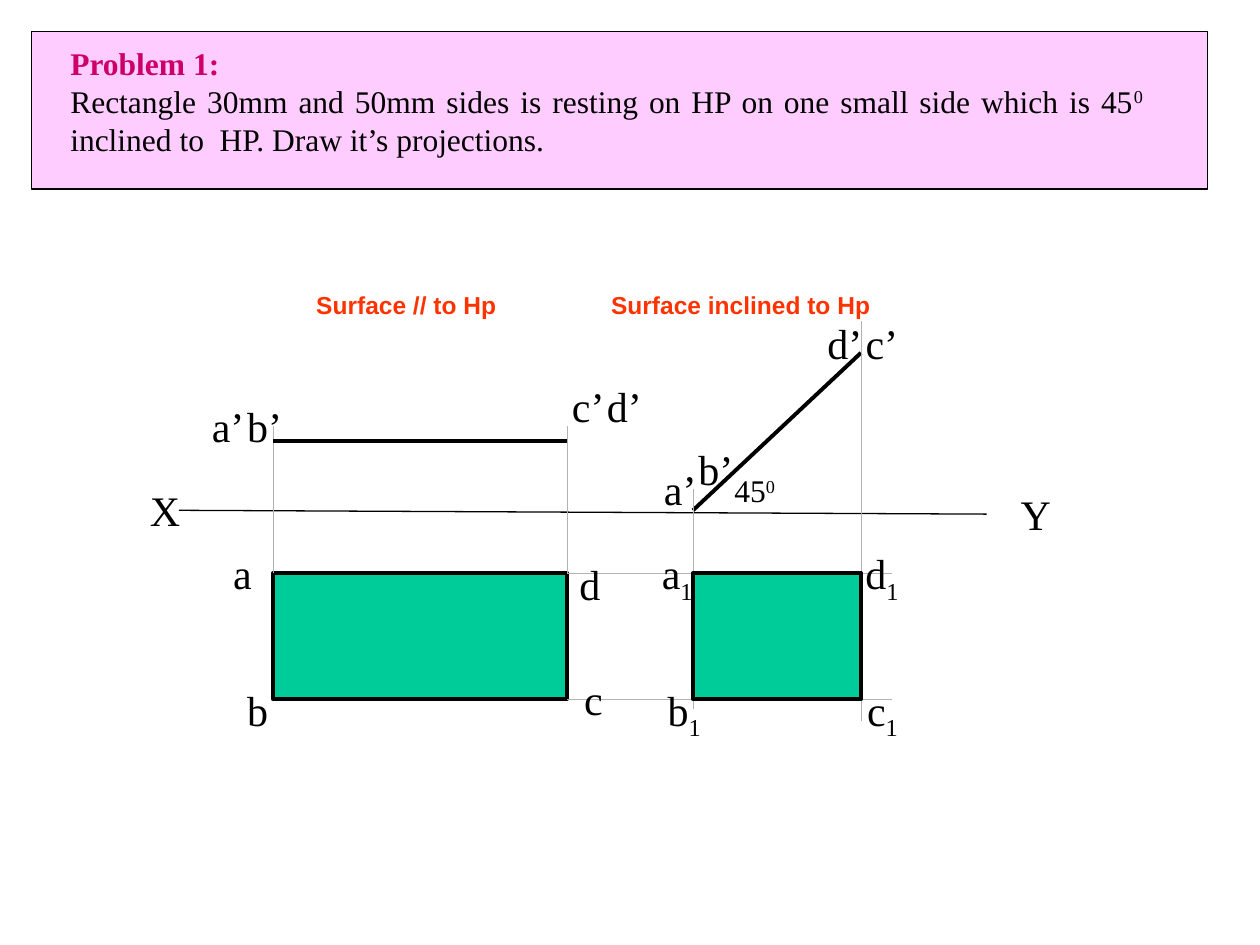
from dataclasses import dataclass
from typing import Any

from lxml import etree
from pptx import Presentation
from pptx.dml.color import RGBColor
from pptx.enum import shapes, text
from pptx.oxml import ns
from pptx.util import Pt

COLORS = {
    "ink": "000000",
    "projector": "B2B2B2",
    "surface": "00CC99",
    "panel": "FFCCFF",
    "problem": "CC0066",
    "caption": "FF3300",
}
SERIF, SANS = "Times New Roman", "Arial"
CENTER, LEFT, JUSTIFY = text.PP_ALIGN.CENTER, text.PP_ALIGN.LEFT, text.PP_ALIGN.JUSTIFY
SUB, SUPER = -25000, 30000

PLAN_LEFT, PLAN_RIGHT = 156, 324
TILTED_LEFT, TILTED_RIGHT = 396, 492
PLAN_TOP, PLAN_BOTTOM = 327.6, 399.6
ELEVATION = 252


@dataclass(frozen=True)
class Line:
    x1: float
    y1: float
    x2: float
    y2: float
    width: float = 0.25
    color: str = "projector"


@dataclass(frozen=True)
class Box:
    left: float
    top: float
    width: float
    height: float
    fill: str = "surface"
    border: float = 2.25


@dataclass(frozen=True)
class Label:
    words: str
    left: float
    top: float
    width: float
    height: float = 36
    script: str = ""
    shift: int = SUB
    size: float = 24
    font: str = SERIF
    color: str = "ink"
    bold: bool = False
    align: Any = CENTER
    wrap: bool = False


LINES = [
    Line(102.2, 291.6, 563.8, 293.8, 0.75, "ink"),
    Line(PLAN_LEFT, PLAN_TOP, PLAN_LEFT, 243.4),
    Line(PLAN_RIGHT, PLAN_TOP, PLAN_RIGHT, 243.4),
    Line(PLAN_LEFT, ELEVATION, PLAN_RIGHT, ELEVATION, 2.25, "ink"),
    Line(TILTED_LEFT, 291.6, TILTED_RIGHT, 201.6, 2.25, "ink"),
    Line(TILTED_LEFT, 279.4, TILTED_LEFT, 405.4),
    Line(TILTED_RIGHT, 183.6, TILTED_RIGHT, 411.8),
    Line(PLAN_RIGHT, PLAN_TOP, 510, PLAN_TOP),
    Line(PLAN_RIGHT, PLAN_BOTTOM, 510, PLAN_BOTTOM),
]

LABELS = [
    Label("X", 78.5, 273.6, 31.7),
    Label("Y", 576, 275.8, 31.7),
    Label("a", 126, 309.6, 25.2),
    Label("b", 120.2, 387.4, 54),
    Label("c", 318.2, 381.6, 41.8),
    Label("d", 324, 315.4, 25.9),
    Label("a’", 113.8, 225.4, 33.1),
    Label("b’", 133.9, 225.4, 34.6),
    Label("c’", 318.2, 213.8, 36),
    Label("d’", 329.8, 213.8, 54),
    Label("a’", 372.2, 261.4, 33.1),
    Label("b’", 391.7, 249.8, 34.6),
    Label("d’", 455.8, 177.8, 54),
    Label("c’", 486, 177.8, 36),
    Label("a", 360, 309.6, 54, 40.3, "1"),
    Label("b", 374.4, 387.4, 33.1, 40.3, "1"),
    Label("c", 480.2, 387.4, 48.2, 40.3, "1"),
    Label("d", 432, 309.6, 144, 40.3, "1"),
    Label("45", 412.6, 265.7, 59.8, 28.8, "0", SUPER, 18, align=LEFT, wrap=True),
    Label("Surface // to Hp", 173.5, 162, 117.4, 24.5,
          size=14, font=SANS, color="caption", bold=True),
    Label("Surface inclined to Hp", 342, 162, 162.7, 24.5,
          size=14, font=SANS, color="caption", bold=True),
]


def rgb(name: str) -> RGBColor:
    return RGBColor.from_string(COLORS[name])


def draw_line(canvas: Any, line: Line) -> None:
    connector = canvas.add_connector(
        shapes.MSO_CONNECTOR.STRAIGHT,
        Pt(line.x1), Pt(line.y1), Pt(line.x2), Pt(line.y2))
    connector.line.color.rgb = rgb(line.color)
    connector.line.width = Pt(line.width)
    etree.SubElement(connector._element.spPr, ns.qn("a:effectLst"))


def draw_box(canvas: Any, box: Box) -> None:
    rectangle = canvas.add_shape(
        shapes.MSO_SHAPE.RECTANGLE,
        Pt(box.left), Pt(box.top), Pt(box.width), Pt(box.height))
    rectangle.shadow.inherit = False
    rectangle.fill.solid()
    rectangle.fill.fore_color.rgb = rgb(box.fill)
    rectangle.line.color.rgb = rgb("ink")
    rectangle.line.width = Pt(box.border)


def add_run(paragraph: Any, words: str, shift: int = 0) -> None:
    run = paragraph.add_run()
    run.text = words
    if shift:
        run._r.get_or_add_rPr().set("baseline", str(shift))


def style(paragraph: Any, size: float, font: str, color: str, bold: bool, align: Any) -> None:
    paragraph.alignment = align
    paragraph.font.size = Pt(size)
    paragraph.font.name = font
    paragraph.font.bold = bold
    paragraph.font.color.rgb = rgb(color)


def add_frame(canvas: Any, left: float, top: float, width: float, height: float,
              wrap: bool) -> Any:
    frame = canvas.add_textbox(Pt(left), Pt(top), Pt(width), Pt(height)).text_frame
    frame.word_wrap = wrap
    frame.auto_size = text.MSO_AUTO_SIZE.SHAPE_TO_FIT_TEXT
    return frame


def draw_label(canvas: Any, label: Label) -> None:
    frame = add_frame(canvas, label.left, label.top, label.width, label.height, label.wrap)
    paragraph = frame.paragraphs[0]
    add_run(paragraph, label.words)
    if label.script:
        add_run(paragraph, label.script, label.shift)
    style(paragraph, label.size, label.font, label.color, label.bold, label.align)


def draw_problem(canvas: Any) -> None:
    panel = canvas.add_group_shape().shapes
    draw_box(panel, Box(18, 18, 672, 90, "panel", 0.75))
    frame = add_frame(panel, 33.1, 21.6, 627.1, 72, True)
    heading = frame.paragraphs[0]
    add_run(heading, "Problem 1:")
    style(heading, 18, SERIF, "problem", True, JUSTIFY)
    statement = frame.add_paragraph()
    add_run(statement, "Rectangle 30mm and 50mm sides is resting on HP "
                       "on one small side which is 45")
    add_run(statement, "0 ", SUPER)
    add_run(statement, "inclined to  HP. Draw it’s projections.")
    style(statement, 18, SERIF, "ink", False, JUSTIFY)


def main() -> None:
    """Build the slide on projections of an inclined rectangle."""
    deck = Presentation()
    deck.slide_width, deck.slide_height = Pt(720), Pt(540)
    canvas = deck.slides.add_slide(deck.slide_layouts[6]).shapes
    depth = PLAN_BOTTOM - PLAN_TOP
    draw_box(canvas, Box(PLAN_LEFT, PLAN_TOP, PLAN_RIGHT - PLAN_LEFT, depth))
    for line in LINES:
        draw_line(canvas, line)
    for label in LABELS:
        draw_label(canvas, label)
    draw_box(canvas, Box(TILTED_LEFT, PLAN_TOP, TILTED_RIGHT - TILTED_LEFT, depth))
    draw_problem(canvas)
    deck.save("out.pptx")


if __name__ == "__main__":
    main()
